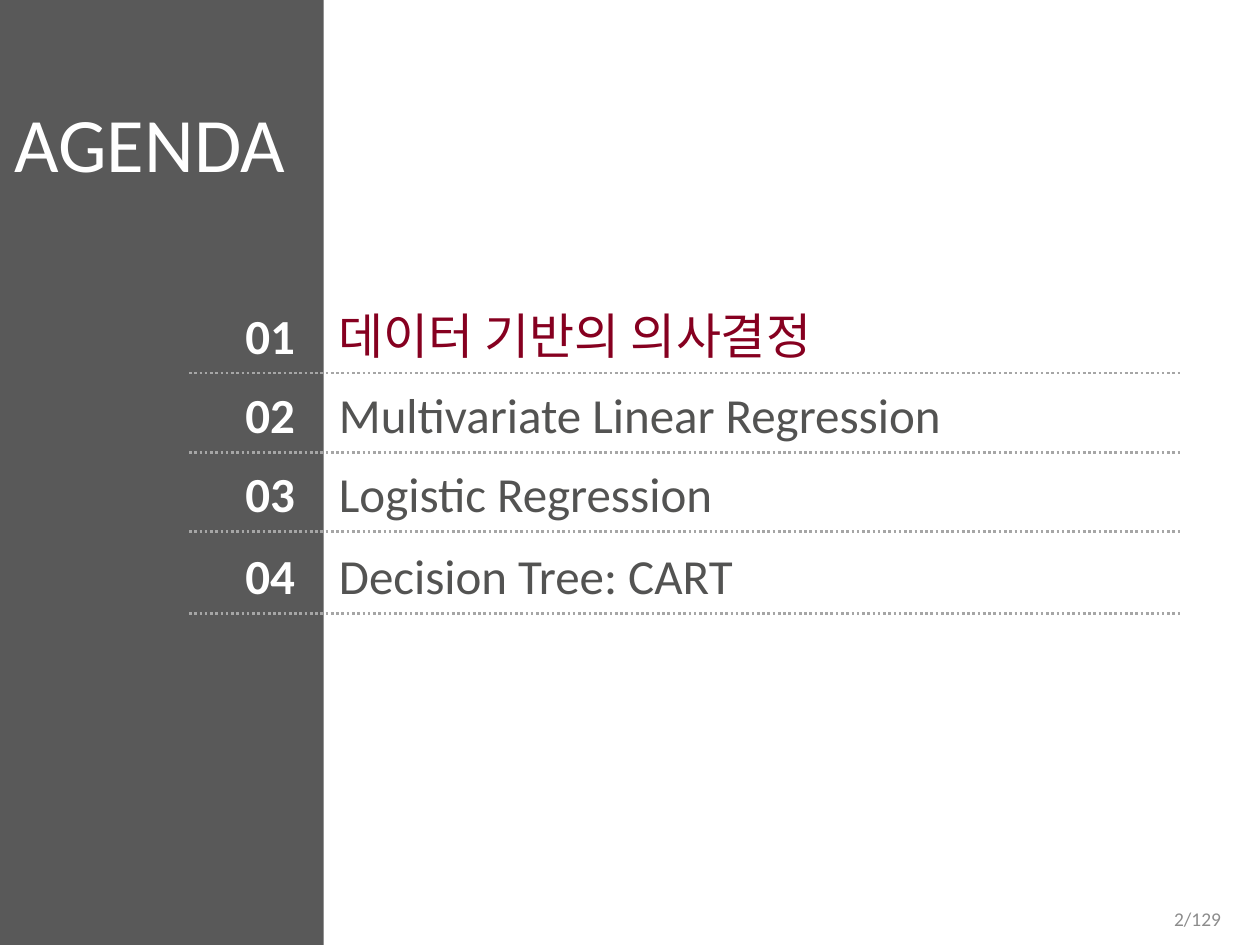
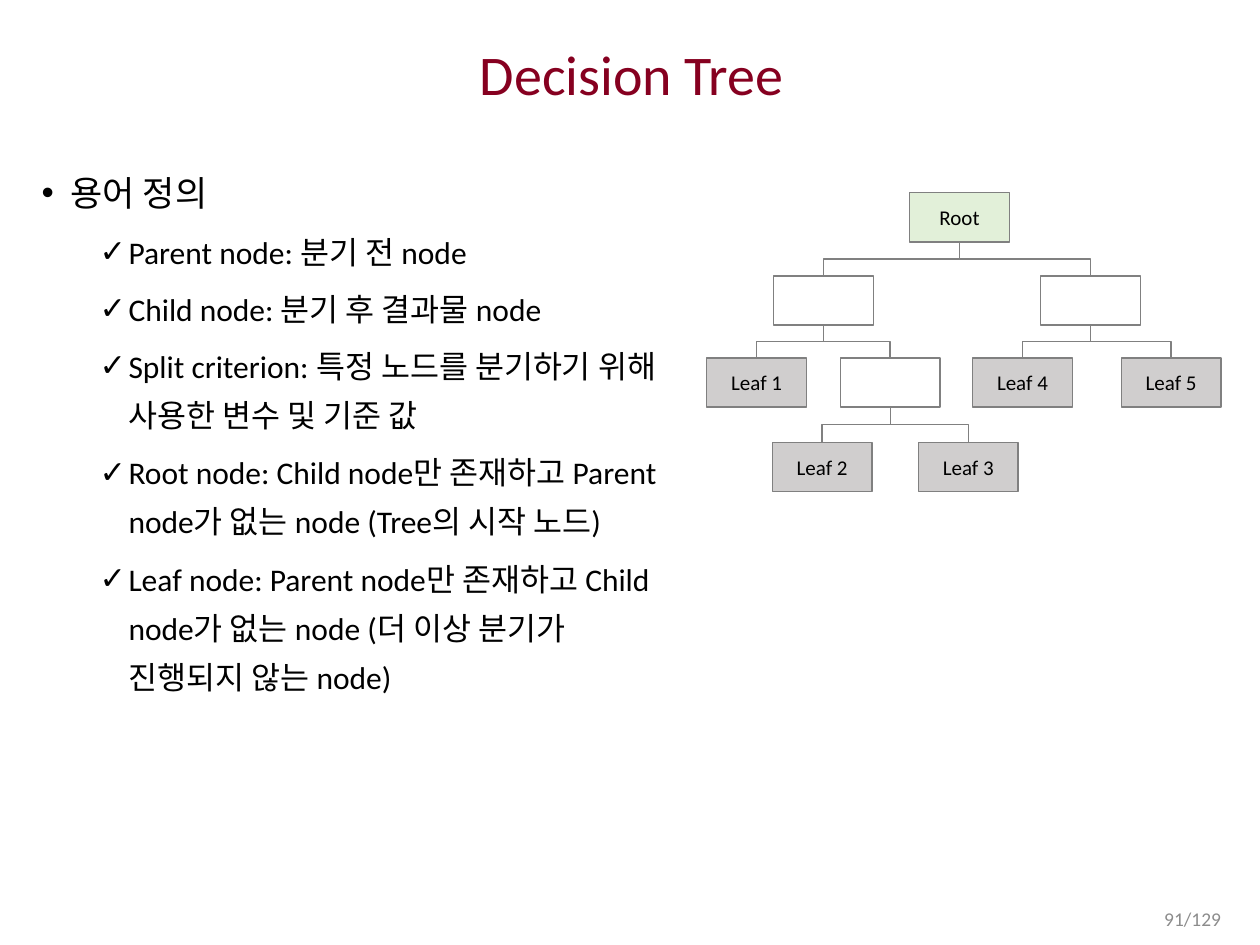
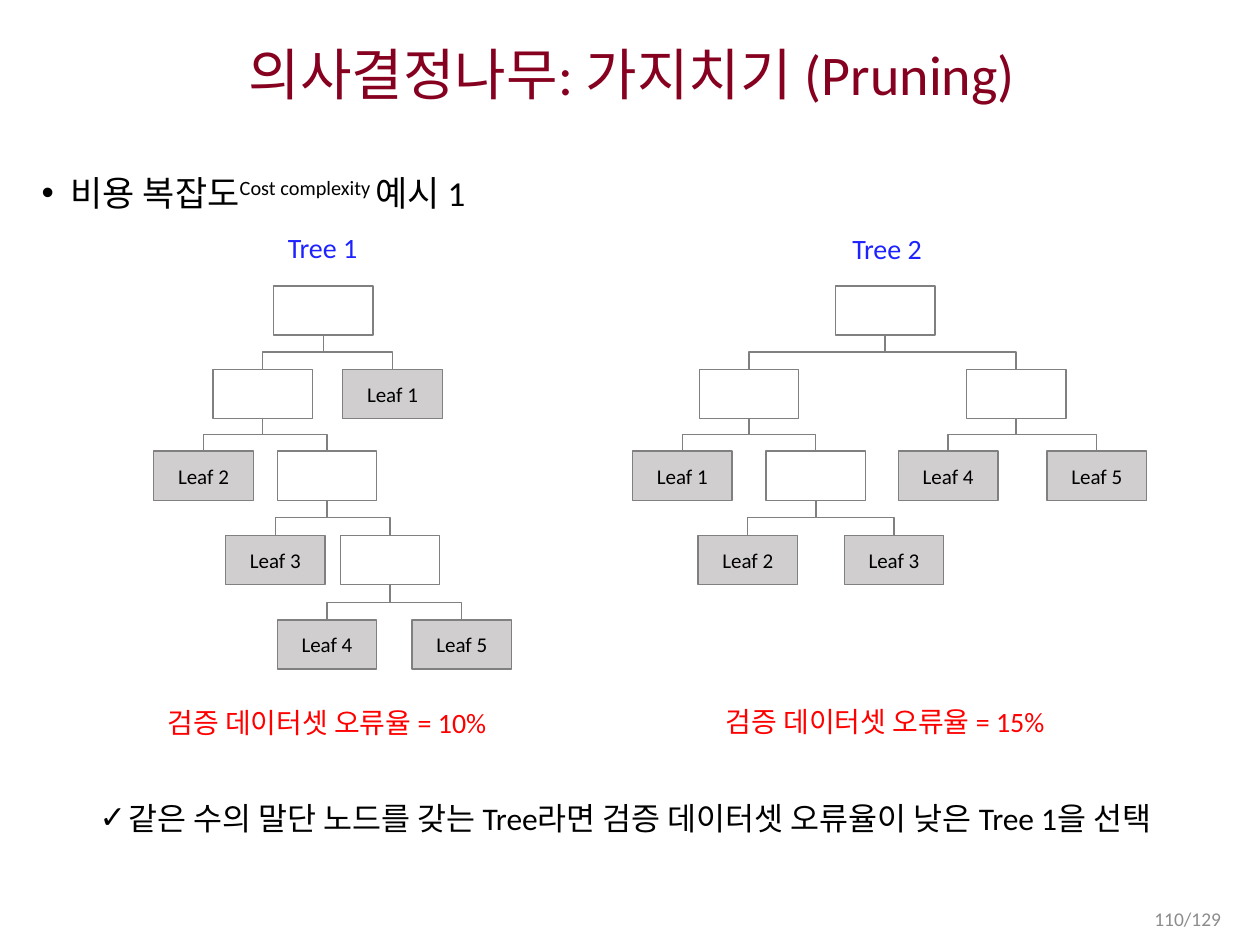
from lxml.etree import SubElement
from pptx import Presentation
from pptx.dml.color import RGBColor
from pptx.enum.dml import MSO_LINE
from pptx.enum.shapes import MSO_CONNECTOR, MSO_SHAPE
from pptx.enum.text import MSO_ANCHOR, MSO_AUTO_SIZE, PP_ALIGN
from pptx.oxml.ns import qn
from pptx.util import Inches, Pt

BLACK = RGBColor(0x00, 0x00, 0x00)
WHITE = RGBColor(0xFF, 0xFF, 0xFF)
CRIMSON = RGBColor(0x86, 0x00, 0x20)
CHARCOAL = RGBColor(0x59, 0x59, 0x59)
TOPIC_GRAY = RGBColor(0x53, 0x53, 0x52)
RULE_GRAY = RGBColor(0xA6, 0xA6, 0xA6)
PAGE_GRAY = RGBColor(0x8C, 0x8C, 0x8C)
NODE_LINE = RGBColor(0x80, 0x80, 0x80)
LEAF_GRAY = RGBColor(0xD0, 0xCE, 0xCE)
ROOT_GREEN = RGBColor(0xE2, 0xF0, 0xD9)
BLUE = RGBColor(0x1D, 0x22, 0xFF)
RED = RGBColor(0xFF, 0x00, 0x00)
FONT = "Calibri"

NODE_WIDTH, NODE_HEIGHT = 0.79, 0.39
LEVEL_TOPS = [0, 0.66, 1.31, 1.98, 2.65]

# Nodes: label, horizontal offset from the root, level, index of the parent
BALANCED_TREE = [
    ("", 0, 0, None), ("", -1.08, 1, 0), ("", 1.04, 1, 0),
    ("Leaf 1", -1.61, 2, 1), ("", -0.55, 2, 1),
    ("Leaf 4", 0.5, 2, 2), ("Leaf 5", 1.68, 2, 2),
    ("Leaf 2", -1.09, 3, 4), ("Leaf 3", 0.07, 3, 4),
]
DEEP_TREE = [
    ("", 0, 0, None), ("", -0.48, 1, 0), ("Leaf 1", 0.55, 1, 0),
    ("Leaf 2", -0.95, 2, 1), ("", 0.03, 2, 1),
    ("Leaf 3", -0.38, 3, 4), ("", 0.53, 3, 4),
    ("Leaf 4", 0.03, 4, 6), ("Leaf 5", 1.1, 4, 6),
]
ROOTED_TREE = [("Root", 0, 0, None)] + BALANCED_TREE[1:]

AGENDA = [
    ("데이터 기반의 의사결정", 2.96, CRIMSON),
    ("Multivariate Linear Regression", 3.59, TOPIC_GRAY),
    ("Logistic Regression", 4.22, TOPIC_GRAY),
    ("Decision Tree: CART", 4.87, TOPIC_GRAY),
]

# Content pages: title, page number, body width,
# paragraphs (level, space before, spans), trees (nodes, root left, root top),
# captions (text, left, top, width, colour)
CONTENT_PAGES = [
    ("Decision Tree", "91/129", 5.18,
     [(0, 0, ["용어 정의"]),
      (1, 4.6, ["Parent node: 분기 전 node"]),
      (1, 4.6, ["Child node: 분기 후 결과물 node"]),
      (1, 4.6, ["Split criterion: 특정 노드를 분기하기 위해 사용한 변수 및 기준 값"]),
      (1, 4.6, ["Root node: Child node만 존재하고 Parent node가 없는 node (Tree의 시작 노드)"]),
      (1, 4.6, ["Leaf node: Parent node만 존재하고 Child node가 없는 node "
                "(더 이상 분기가 진행되지 않는 node)"])],
     [(ROOTED_TREE, 7.22, 1.53)],
     []),
    ("의사결정나무: 가지치기 (Pruning)", "110/129", 9.57,
     [(0, 0, ["비용 복잡도", "Cost complexity ", "예시 1"]),
      (1, 328, ["같은 수의 말단 노드를 갖는 Tree라면 검증 데이터셋 오류율이 낮은 Tree 1을 선택"])],
     [(DEEP_TREE, 2.17, 2.27), (BALANCED_TREE, 6.63, 2.27)],
     [("Tree 1", 2.06, 1.78, 1, BLUE),
      ("Tree 2", 6.54, 1.79, 1, BLUE),
      ("검증 데이터셋 오류율 = 10%", 1.1, 5.55, 2.99, RED),
      ("검증 데이터셋 오류율 = 15%", 5.53, 5.54, 2.99, RED)]),
]


def format_runs(para, size, color, bold=False):
    for span in para.runs:
        span.font.name = FONT
        span.font.size = Pt(size)
        span.font.bold = bold
        span.font.color.rgb = color


def write_box(page, text, place, size, color, align=PP_ALIGN.LEFT,
              anchor=MSO_ANCHOR.MIDDLE, bold=False, left_inset=0.1):
    """Add a one-line text box; place is left, top, width, height in inches."""
    frame = page.shapes.add_textbox(*map(Inches, place)).text_frame
    frame.word_wrap = True
    frame.vertical_anchor = anchor
    frame.margin_left = Inches(left_inset)
    frame.text = text
    frame.paragraphs[0].alignment = align
    format_runs(frame.paragraphs[0], size, color, bold)


deck = Presentation()
deck.slide_width, deck.slide_height = Inches(10), Inches(7.5)
content_layout, title_layout = deck.slide_layouts[1], deck.slide_layouts[5]

# Agenda
agenda_page = deck.slides.add_slide(title_layout)
sidebar = agenda_page.shapes.add_shape(
    MSO_SHAPE.RECTANGLE, 0, 0, Inches(2.57), deck.slide_height)
sidebar.shadow.inherit = False
sidebar.fill.solid()
sidebar.fill.fore_color.rgb = CHARCOAL
sidebar.line.fill.background()
agenda_title = agenda_page.shapes.title
sidebar.element.addnext(agenda_title.element)
agenda_title.left, agenda_title.top = 0, Inches(0.76)
agenda_title.width, agenda_title.height = Inches(2.38), Inches(0.74)
frame = agenda_title.text_frame
frame.text = "AGENDA"
frame.auto_size = MSO_AUTO_SIZE.NONE
frame.vertical_anchor = MSO_ANCHOR.TOP
frame.margin_left = frame.margin_right = frame.margin_top = frame.margin_bottom = 0
frame.paragraphs[0].alignment = PP_ALIGN.CENTER
format_runs(frame.paragraphs[0], 44, WHITE)

for number, (topic, rule_top, color) in enumerate(AGENDA, start=1):
    write_box(agenda_page, f"{number:02}", (1.34, rule_top - 0.59, 1.1, 0.57),
              28, WHITE, PP_ALIGN.RIGHT, bold=True)
    write_box(agenda_page, topic, (2.69, rule_top - 0.5, 6.69, 0.39),
              28, color, left_inset=0)
    rule = agenda_page.shapes.add_connector(
        MSO_CONNECTOR.STRAIGHT, Inches(1.5), Inches(rule_top),
        Inches(9.38), Inches(rule_top))
    rule.line.color.rgb = RULE_GRAY
    rule.line.width = Pt(1.5)
    rule.line.dash_style = MSO_LINE.ROUND_DOT
    SubElement(rule.element.spPr, qn("a:effectLst"))

# Content pages
page_numbers = [(agenda_page, "2/129")]
for title_text, page_number, body_width, paragraphs, trees, captions in CONTENT_PAGES:
    page = deck.slides.add_slide(content_layout)
    page_numbers.append((page, page_number))
    title, body = page.shapes.title, page.placeholders[1]
    title.left, title.top = Inches(0.23), Inches(0.25)
    title.width, title.height = Inches(9.57), Inches(0.73)
    title.text_frame.text = title_text
    title.text_frame.auto_size = MSO_AUTO_SIZE.NONE
    title.text_frame.vertical_anchor = MSO_ANCHOR.MIDDLE
    title_para = title.text_frame.paragraphs[0]
    title_para.alignment = PP_ALIGN.CENTER
    title_para.line_spacing = 0.9
    format_runs(title_para, 32, CRIMSON)

    body.left, body.top = Inches(0.23), Inches(1.21)
    body.width, body.height = Inches(body_width), Inches(5.84)
    body.text_frame.auto_size = MSO_AUTO_SIZE.NONE
    for index, (level, space_before, spans) in enumerate(paragraphs):
        para = body.text_frame.add_paragraph() if index else body.text_frame.paragraphs[0]
        para.level = level
        para.line_spacing = 1.3
        para.space_before = Pt(space_before)
        properties = para._p.get_or_add_pPr()
        properties.set("marL", str(Inches(0.69 if level else 0.23)))
        properties.set("indent", str(Inches(-0.23)))
        SubElement(properties, qn("a:buChar"), char="✓" if level else "•")
        for text in spans:
            para.add_run().text = text
        format_runs(para, 18 if level else 20, BLACK)
        for span in para.runs[1:2]:
            span.font._element.set("baseline", "30000")

    for nodes, root_left, root_top in trees:
        boxes = []
        for label, offset, level, parent_index in nodes:
            box = page.shapes.add_shape(
                MSO_SHAPE.RECTANGLE, Inches(root_left + offset),
                Inches(root_top + LEVEL_TOPS[level]),
                Inches(NODE_WIDTH), Inches(NODE_HEIGHT))
            box.shadow.inherit = False
            box.fill.solid()
            box.fill.fore_color.rgb = (
                ROOT_GREEN if label == "Root" else LEAF_GRAY if label else WHITE)
            box.line.color.rgb = NODE_LINE
            box.line.width = Pt(0.75)
            if label:
                box.text_frame.text = label
                box.text_frame.vertical_anchor = MSO_ANCHOR.MIDDLE
                box.text_frame.paragraphs[0].alignment = PP_ALIGN.CENTER
                format_runs(box.text_frame.paragraphs[0], 12, BLACK)
            boxes.append(box)
            if parent_index is None:
                continue

            # A branch is an elbow turned by a quarter to leave downwards
            parent = boxes[parent_index]
            branch = page.shapes.add_connector(MSO_CONNECTOR.ELBOW, 0, 0, 0, 0)
            branch.begin_connect(parent, 2)
            branch.end_connect(box, 0)
            parent_bottom = parent.top + parent.height
            drop, shift = box.top - parent_bottom, box.left - parent.left
            middle_x = (parent.left + box.left + box.width) // 2
            middle_y = (parent_bottom + box.top) // 2
            branch.width, branch.height = drop, abs(shift)
            branch.left = middle_x - drop // 2
            branch.top = middle_y - abs(shift) // 2
            turn = branch.element.spPr.xfrm
            turn.rot = 270 if shift > 0 else 90
            turn.flipH, turn.flipV = shift > 0, False
            branch.line.color.rgb = NODE_LINE
            branch.line.width = Pt(0.75)
            SubElement(branch.element.spPr, qn("a:effectLst"))

    for text, left, top, width, color in captions:
        write_box(page, text, (left, top, width, 0.37), 16, color,
                  PP_ALIGN.CENTER, MSO_ANCHOR.TOP)

for page, page_number in page_numbers:
    write_box(page, page_number, (7.54, 7.14, 2.25, 0.3), 11.1, PAGE_GRAY, PP_ALIGN.RIGHT)

deck.save("out.pptx")
